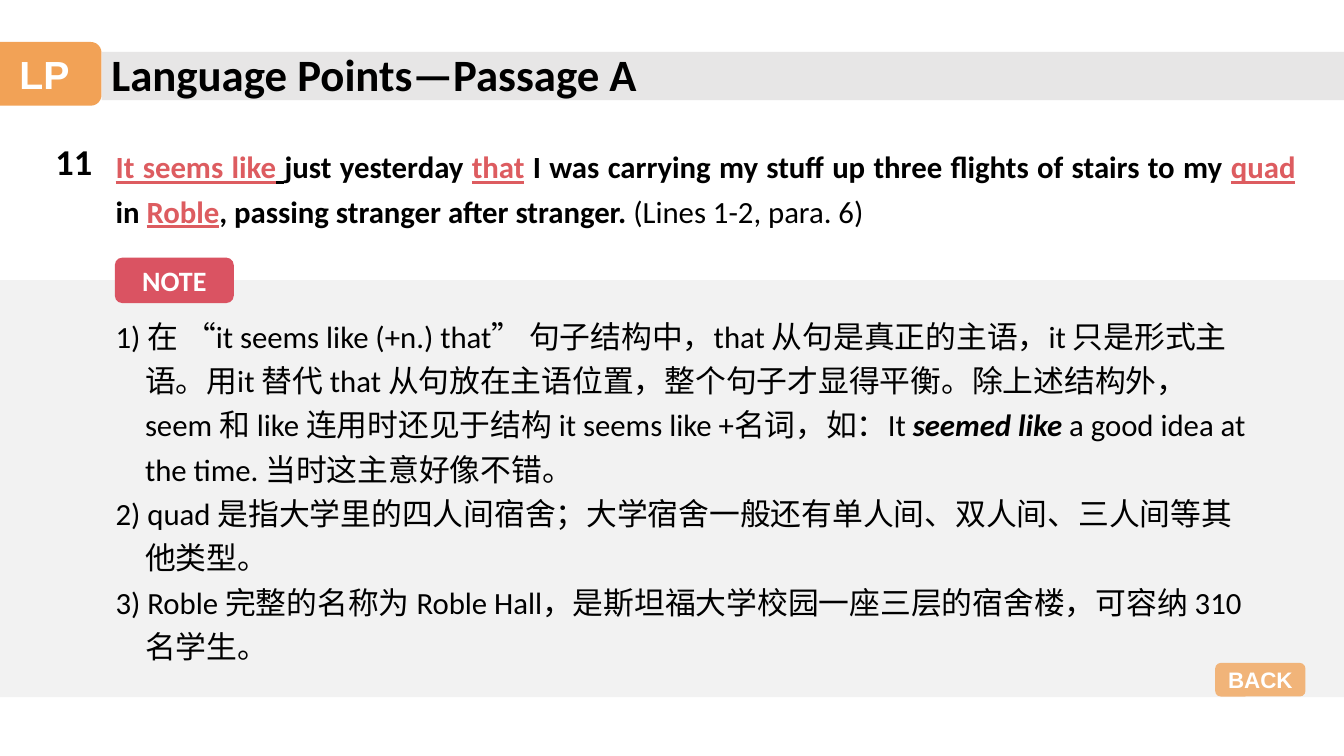
"""Build the Language Points slide with its example sentence and notes."""
from lxml import etree
from pptx import Presentation
from pptx.dml.color import RGBColor
from pptx.enum.shapes import MSO_SHAPE
from pptx.enum.text import MSO_ANCHOR, MSO_AUTO_SIZE, PP_ALIGN
from pptx.oxml.ns import qn
from pptx.util import Pt

RECTANGLE = MSO_SHAPE.RECTANGLE
ROUNDED = MSO_SHAPE.ROUNDED_RECTANGLE
MIDDLE = MSO_ANCHOR.MIDDLE
GROW = MSO_AUTO_SIZE.SHAPE_TO_FIT_TEXT
LEFT, CENTER, JUSTIFY = PP_ALIGN.LEFT, PP_ALIGN.CENTER, PP_ALIGN.JUSTIFY

BLACK, WHITE, RED = "000000", "FFFFFF", "DD5C60"
ORANGE, ROSE = "F19B48", "DA5362"
BAR_GREY, PANEL_GREY = "E7E6E6", "F2F2F2"
KEY = {"color": RED, "underline": True}

SENTENCE = [
    ("It seems like", KEY),
    (" ", {"bold": False, "underline": True}),
    ("just yesterday ", {}),
    ("that", KEY),
    (" I was carrying my stuff up three flights of stairs to my ", {}),
    ("quad", KEY),
    (" in ", {}),
    ("Roble", KEY),
    (", passing stranger after stranger.", {}),
    (" (Lines 1-2, para. 6)", {"bold": False}),
]
NOTES = [
    [
        ("1) 在 “it seems like (+n.) that” 句子结构中，that 从句是真正的主语，"
         "it 只是形式主语。用it 替代 that 从句放在主语位置，整个句子才显得平衡。"
         "除上述结构外，seem 和 like 连用时还见于结构 it seems like +名词，如：It ", {}),
        ("seemed like", {"bold": True, "italic": True}),
        (" a good idea at the time. 当时这主意好像不错。", {}),
    ],
    [("2) quad 是指大学里的四人间宿舍；大学宿舍一般还有单人间、双人间、三人间等其他类型。", {})],
    [("3) Roble 完整的名称为 Roble Hall，是斯坦福大学校园一座三层的宿舍楼，"
      "可容纳 310 名学生。", {})],
]


def rgb(value):
    """Turn a hex string into a colour."""
    return RGBColor.from_string(value)


def add_span(para, text, size=22, font="Calibri", color=BLACK,
             bold=False, italic=False, underline=False):
    """Add one formatted run of text to a paragraph."""
    span = para.add_run()
    span.text = text
    span.font.size = Pt(size)
    span.font.name = font
    span.font.color.rgb = rgb(color)
    span.font.bold = bold
    span.font.italic = italic
    span.font.underline = underline


class LessonPage:
    """Hold the deck, the current page and the base text style."""

    def __init__(self, width, height):
        """Start a deck with one blank page."""
        self.deck = Presentation()
        self.deck.slide_width, self.deck.slide_height = Pt(width), Pt(height)
        self.page = self.deck.slides.add_slide(self.deck.slide_layouts[6])
        self.base = {"font": "Calibri", "color": BLACK}

    def block(self, left, top, width, height, color, kind=RECTANGLE, opacity=100):
        """Draw a plain filled shape."""
        box = self.page.shapes.add_shape(kind, Pt(left), Pt(top), Pt(width), Pt(height))
        box.shadow.inherit = False
        box.line.fill.background()
        box.fill.solid()
        box.fill.fore_color.rgb = rgb(color)
        if opacity < 100:
            tint = box._element.spPr.find(qn("a:solidFill"))[0]
            etree.SubElement(tint, qn("a:alpha"), val=str(opacity * 1000))
        return box

    def badge(self, left, top, width, height, label, color, opacity=100, **style):
        """Draw a rounded label with centred white text."""
        box = self.block(left, top, width, height, color, ROUNDED, opacity)
        frame = box.text_frame
        frame.vertical_anchor = MIDDLE
        frame.word_wrap = True
        para = frame.paragraphs[0]
        para.alignment = CENTER
        add_span(para, label, **{**self.base, "color": WHITE, "bold": True, **style})

    def text(self, left, top, width, height, paragraphs, align=LEFT,
             spacing=1.0, hanging=0, **style):
        """Write paragraphs, each given as a list of text and format pairs."""
        box = self.page.shapes.add_textbox(Pt(left), Pt(top), Pt(width), Pt(height))
        frame = box.text_frame
        frame.word_wrap = True
        frame.auto_size = GROW
        for index, spans in enumerate(paragraphs):
            para = frame.add_paragraph() if index else frame.paragraphs[0]
            para.alignment = align
            para.line_spacing = spacing
            if hanging:
                properties = para._p.get_or_add_pPr()
                properties.set("marL", str(Pt(hanging)))
                properties.set("indent", str(-Pt(hanging)))
            for text, changes in spans:
                add_span(para, text, **{**self.base, **style, **changes})

    def save(self):
        """Save the finished deck."""
        self.deck.save("out.pptx")


def main():
    """Lay out the whole page."""
    lesson = LessonPage(960, 540)
    lesson.block(0, 200, 960, 298, PANEL_GREY)
    lesson.block(72.5, 37, 887.5, 34.5, BAR_GREY)
    lesson.badge(-9, 30, 81.5, 45.5, "LP", ORANGE, 92, size=28, font="Arial")
    lesson.text(72.5, 29.5, 411, 46, [[("Language Points—Passage A", {})]],
                size=32, bold=True)
    lesson.text(32.5, 96, 50, 39, [[("11", {})]], size=26, bold=True)
    lesson.text(75.5, 97, 857, 71, [SENTENCE], JUSTIFY, 1.2, bold=True)
    lesson.text(75.5, 218, 824, 261, NOTES, spacing=1.2, hanging=21)
    lesson.badge(82, 184, 85, 32.5, "NOTE", ROSE, size=20)
    lesson.badge(868, 473.5, 64.5, 24, "BACK", ORANGE, 71, size=16, font="Arial")
    lesson.save()


if __name__ == "__main__":
    main()
